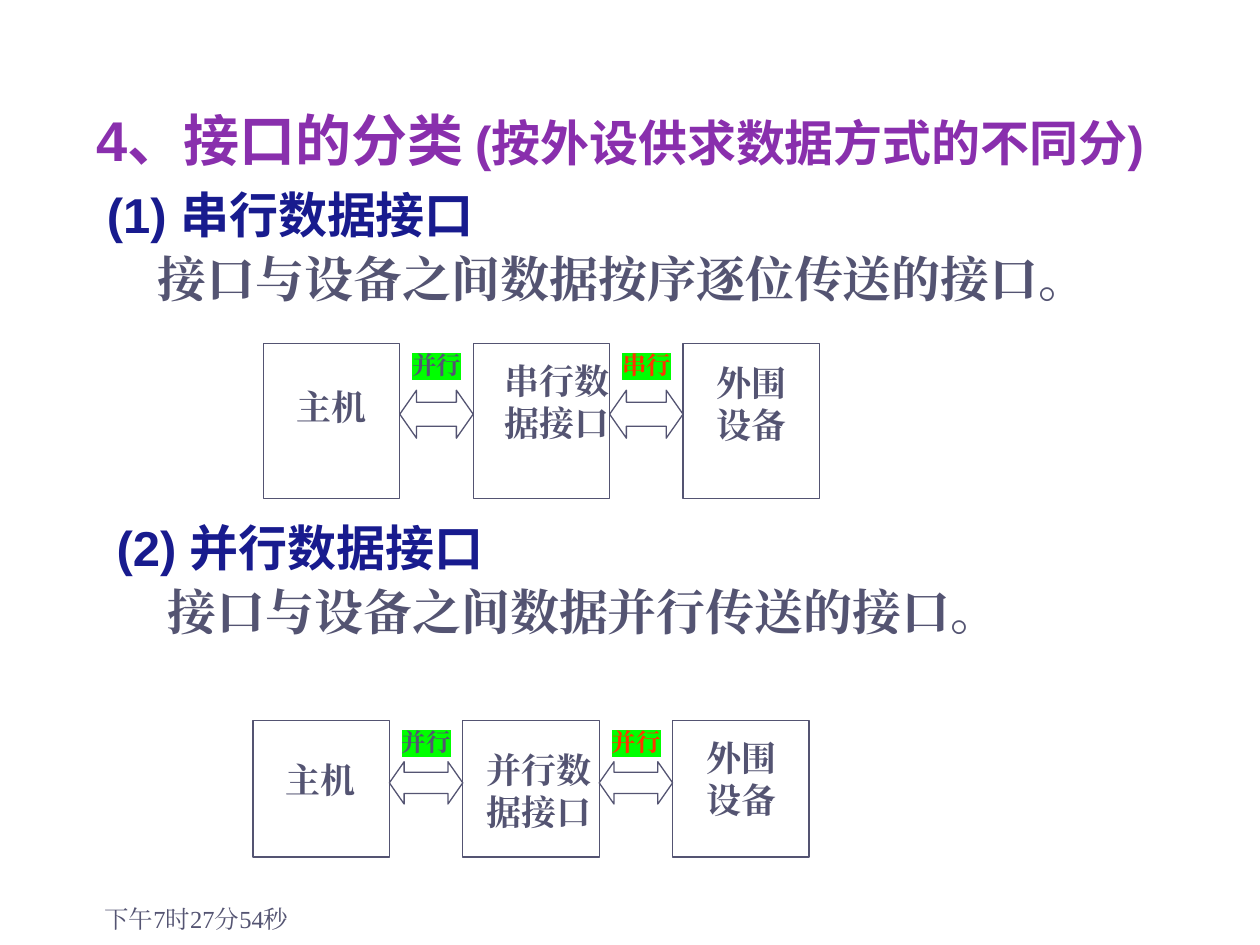
from lxml.etree import SubElement
from pptx import Presentation
from pptx.dml.color import RGBColor as RGB
from pptx.enum.shapes import MSO_SHAPE as Shape
from pptx.enum.text import MSO_ANCHOR as Anchor, MSO_AUTO_SIZE as Auto, PP_ALIGN as Align
from pptx.oxml.ns import qn
from pptx.util import Cm, Pt

INK = {"title": "892FAD", "head": "181B8E", "text": "545472",
       "alert": "FF3300", "mark": "00FF00"}
SANS, ARIAL, TIMES = "Noto Sans CJK SC", "Arial", "Times New Roman"


def add_run(para, text, size, ink, latin, asian=None, bold=True, mark=None):
    run = para.add_run()
    run.text = text
    font = run.font
    font.size, font.bold, font.name = Pt(size), bold, latin
    font.color.rgb = RGB.from_string(INK[ink])
    props = font.fill._xPr
    SubElement(props, qn("a:ea")).set("typeface", asian or latin)
    if mark:
        light = SubElement(props, qn("a:highlight"))
        SubElement(light, qn("a:srgbClr")).set("val", INK[mark])
        props.find(qn("a:solidFill")).addnext(light)


def place(shape, left, top, width, height):
    shape.left, shape.top = Cm(left), Cm(top)
    shape.width, shape.height = Cm(width), Cm(height)


def add_text(shapes, box, lines, size, ink="text", wrap=False, **style):
    frame = shapes.add_textbox(*map(Cm, box)).text_frame
    frame.word_wrap = wrap
    for i, line in enumerate(lines):
        para = frame.add_paragraph() if i else frame.paragraphs[0]
        add_run(para, line, size, ink, TIMES, **style)
    return frame


def add_outline(shapes, kind, box):
    shape = shapes.add_shape(kind, *map(Cm, box))
    shape.shadow.inherit = False
    shape.fill.background()
    shape.line.color.rgb = RGB.from_string(INK["text"])
    shape.line.width = Pt(0.75)
    return shape


def fill_title(title, box):
    place(title, *box)
    frame = title.text_frame
    frame.auto_size, frame.vertical_anchor = Auto.NONE, Anchor.BOTTOM
    para = frame.paragraphs[0]
    para.alignment = Align.CENTER
    add_run(para, "4、接口的分类", 32, "title", ARIAL, SANS)
    add_run(para, " (按外设供求数据方式的不同分)", 28, "title", ARIAL, SANS)


def fill_topic(shape, box, number, name, note, wrap):
    """Numbered heading with an indented definition under it."""
    place(shape, *box)
    frame = shape.text_frame
    frame.auto_size, frame.word_wrap = Auto.NONE, wrap
    frame.vertical_anchor = Anchor.TOP
    head, body = frame.paragraphs[0], frame.add_paragraph()
    for para, left in ((head, 0), (body, 1.03)):
        para.space_before = Pt(3)
        props = para._p.get_or_add_pPr()
        props.set("marL", str(Cm(left)))
        props.set("indent", "0")
        SubElement(props, qn("a:buNone"))
    add_run(head, number + " ", 28, "head", ARIAL)
    add_run(head, name, 28, "head", ARIAL, SANS)
    add_run(body, note, 28, "text", TIMES)


def add_link(slide, left, top, high, labels, modes):
    """Three boxes joined by two-way arrows; labels are (dx, dy, w, h, lines, wrap)."""
    shapes = slide.shapes.add_group_shape().shapes
    wide, gap = 2.75, 1.48
    step = wide + gap
    for i in range(3):
        add_outline(shapes, Shape.RECTANGLE, (left + i * step, top, wide, high))
    for i, (mode, ink) in enumerate(modes):
        x = left + wide + i * step
        arrow = add_outline(shapes, Shape.LEFT_RIGHT_ARROW,
                            (x, top + 0.3 * high, gap, 0.31 * high))
        arrow.adjustments[0], arrow.adjustments[1] = 0.5, 0.35
        add_text(shapes, (x, top, 1.5, 0.85), [mode], 14, ink, mark="mark")
    for i, (dx, dy, w, h, lines, wrap) in enumerate(labels):
        add_text(shapes, (left + i * step + dx, top + dy, w, h), lines, 20, wrap=wrap)


def add_time(slide, box):
    frame = add_text(slide.shapes, box, ["下午7时27分54秒"], 14, wrap=True, bold=False)
    frame.vertical_anchor = Anchor.BOTTOM


def main():
    deck = Presentation()
    deck.slide_width, deck.slide_height = Cm(25.4), Cm(19.05)
    slide = deck.slides.add_slide(deck.slide_layouts[1])
    fill_title(slide.shapes.title, (1.07, 1.9, 22.86, 1.7))
    fill_topic(slide.placeholders[1], (1.9, 3.6, 21.6, 3.6), "(1)", "串行数据接口",
               "接口与设备之间数据按序逐位传送的接口。", True)
    second = slide.shapes.add_textbox(0, 0, 0, 0)
    fill_topic(second, (2.1, 10.31, 18.57, 3.07), "(2)", "并行数据接口",
               "接口与设备之间数据并行传送的接口。", False)
    host, device = ["主机"], ["外围", "设备"]
    add_link(slide, 5.31, 6.93, 3.12,
             [(0.41, 0.71, 1.93, 1.09, host, False),
              (0.38, 0.2, 2.65, 2.79, ["串行数据接口"], True),
              (0.43, 0.23, 1.93, 1.96, device, False)],
             [("并行", "text"), ("串行", "alert")])
    add_link(slide, 5.1, 14.53, 2.75,
             [(0.41, 0.64, 1.93, 1.09, host, False),
              (0.23, 0.43, 2.64, 1.96, ["并行数", "据接口"], False),
              (0.43, 0.2, 1.93, 1.96, device, False)],
             [("并行", "text"), ("并行", "alert")])
    add_time(slide, (1.85, 17.68, 5.28, 1.27))
    deck.save("out.pptx")


if __name__ == "__main__":
    main()
